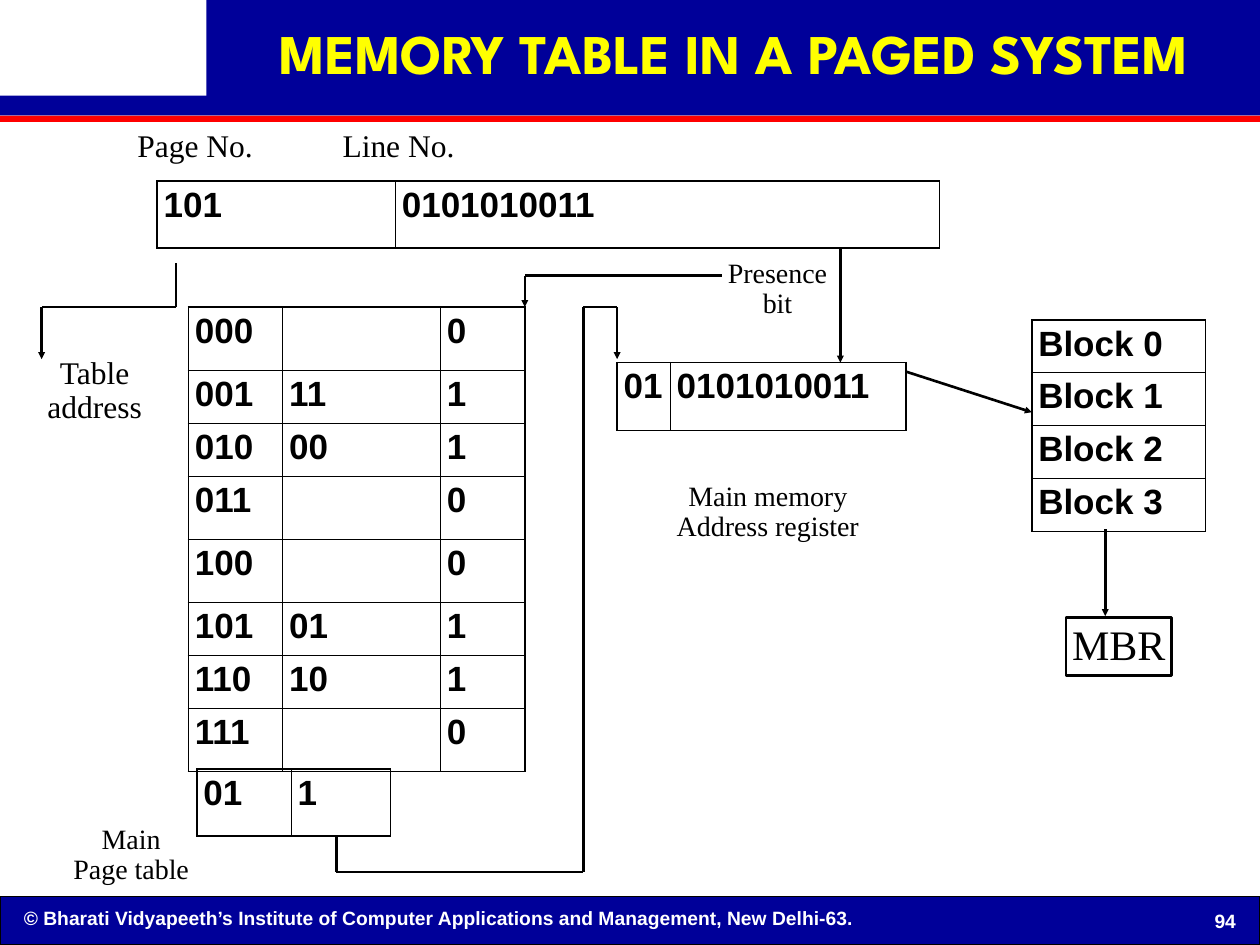
from itertools import pairwise

from lxml.etree import SubElement
from pptx import Presentation
from pptx.dml.color import RGBColor
from pptx.enum.shapes import MSO_CONNECTOR as Connector, MSO_SHAPE as Preset
from pptx.enum.text import MSO_ANCHOR as Anchor, PP_ALIGN as Align
from pptx.oxml.ns import qn
from pptx.util import Cm, Pt

NAVY, RED, YELLOW, WHITE, BLACK = "000099", "FF0000", "FFFF00", "FFFFFF", "000000"
SERIF, SANS, DISPLAY = "Times New Roman", "Arial", "League Spartan"
PAGE_TABLE = [
    ("000", "", "0"),
    ("001", "11", "1"),
    ("010", "00", "1"),
    ("011", "", "0"),
    ("100", "", "0"),
    ("101", "01", "1"),
    ("110", "10", "1"),
    ("111", "", "0"),
]


def paint(target, color):
    """Give a fill, line or font colour object a hex colour."""
    target.rgb = RGBColor.from_string(color)


def write(frame, text, size=16, font=SERIF, color=BLACK, bold=False,
          align=Align.CENTER, spacing=0.9):
    """Write text into a frame, one paragraph for each line."""
    frame.text = text
    for paragraph in frame.paragraphs:
        paragraph.alignment = align
        paragraph.line_spacing = spacing
        for run in paragraph.runs:
            run.font.size = Pt(size)
            run.font.name = font
            run.font.bold = bold
            paint(run.font.color, color)


def set_margins(holder, side=0.13, edge=0.13):
    """Set the inner margins of a text frame or table cell."""
    holder.margin_left = holder.margin_right = Cm(side)
    holder.margin_top = holder.margin_bottom = Cm(edge)


def add_label(slide, box, text, side=0.13, anchor=Anchor.TOP, wrap=False, **style):
    """Place a text box."""
    frame = slide.shapes.add_textbox(*map(Cm, box)).text_frame
    frame.word_wrap = wrap
    frame.vertical_anchor = anchor
    set_margins(frame, side)
    write(frame, text, **style)


def add_box(slide, box, fill=None, outline=None, weight=0.75):
    """Place a rectangle with an optional fill and outline."""
    rectangle = slide.shapes.add_shape(Preset.RECTANGLE, *map(Cm, box))
    rectangle.shadow.inherit = False
    if fill:
        rectangle.fill.solid()
        paint(rectangle.fill.fore_color, fill)
    else:
        rectangle.fill.background()
    if outline:
        paint(rectangle.line.color, outline)
        rectangle.line.width = Pt(weight)
    else:
        rectangle.line.fill.background()
    return rectangle


def add_border(cell, side, weight):
    """Draw one black border of a cell."""
    line = SubElement(cell._tc.get_or_add_tcPr(), qn(f"a:ln{side}"), w=str(Pt(weight)))
    fill = SubElement(line, qn("a:solidFill"))
    SubElement(fill, qn("a:srgbClr"), val=BLACK)


def add_grid(slide, left, top, widths, heights, rows):
    """Place a table with a heavy frame and thin inner rules."""
    table = slide.shapes.add_table(
        len(rows), len(widths), Cm(left), Cm(top), Cm(sum(widths)), Cm(sum(heights))
    ).table
    table.first_row = table.horz_banding = False
    for column, width in zip(table.columns, widths):
        column.width = Cm(width)
    for r, (row, height) in enumerate(zip(rows, heights)):
        table.rows[r].height = Cm(height)
        for c, text in enumerate(row):
            cell = table.cell(r, c)
            set_margins(cell)
            outer = {"L": c == 0, "R": c == len(widths) - 1,
                     "T": r == 0, "B": r == len(rows) - 1}
            for side, is_outer in outer.items():
                add_border(cell, side, 1.08 if is_outer else 0.45)
            cell.fill.background()
            if text:
                write(cell.text_frame, text, size=20, font=SANS, bold=True,
                      align=Align.LEFT, spacing=0.95)


def add_route(slide, *points):
    """Join points with straight connectors, ending in an arrowhead."""
    for start, end in pairwise(points):
        connector = slide.shapes.add_connector(
            Connector.STRAIGHT, *map(Cm, start + end))
        paint(connector.line.color, BLACK)
        connector.line.width = Pt(1.5)
        SubElement(connector._element.spPr, qn("a:effectLst"))
    SubElement(connector.line._get_or_add_ln(), qn("a:tailEnd"),
               type="triangle", w="sm", len="sm")


def add_frame(slide):
    """Draw the header and footer bands with their text."""
    add_box(slide, (0, 18.08, 25.4, 0.97), NAVY, BLACK)
    add_box(slide, (0, 2.33, 25.4, 0.13), RED)
    add_box(slide, (4.16, 0, 21.24, 1.96), NAVY)
    add_box(slide, (0, 1.93, 25.4, 0.4), NAVY)
    footer = dict(side=0.25, size=11, font=SANS, color=WHITE, bold=True, spacing=1.0)
    add_label(slide, (0.23, 18.14, 23.32, 0.74),
              "© Bharati Vidyapeeth’s Institute of Computer Applications "
              "and Management, New Delhi-63.", wrap=True, align=Align.LEFT, **footer)
    add_label(slide, (24.04, 18.26, 1.32, 0.61), "94", anchor=Anchor.MIDDLE, **footer)
    add_label(slide, (4.27, 0, 21.08, 2.29), "MEMORY TABLE IN A PAGED SYSTEM",
              anchor=Anchor.MIDDLE, wrap=True, size=32, font=DISPLAY,
              color=YELLOW, bold=True)


def add_tables(slide):
    """Place the address, page table, register and memory block tables."""
    add_grid(slide, 3.17, 3.65, [4.8, 10.97], [1.35], [("101", "0101010011")])
    heights = [1.07 if block else 1.27 for _, block, _ in PAGE_TABLE]
    add_grid(slide, 3.8, 6.19, [1.9, 3.18, 1.7], heights, PAGE_TABLE)
    add_grid(slide, 3.97, 15.5, [1.9, 2], [1.35], [("01", "1")])
    add_grid(slide, 12.44, 7.31, [1.07, 4.75], [1.37], [("01", "0101010011")])
    add_grid(slide, 20.8, 6.45, [3.5], [1.06] * 4, [(f"Block {n}",) for n in range(4)])


def add_labels(slide):
    """Name the parts of the diagram and place the buffer register."""
    add_label(slide, (2.54, 2.5, 2.79, 0.94), "Page No.", size=18)
    add_label(slide, (6.64, 2.5, 2.79, 0.94), "Line No.", size=18)
    add_label(slide, (0.61, 7.07, 2.6, 1.63), "Table\naddress", size=18)
    add_label(slide, (14.48, 5.1, 2.39, 1.47), "Presence\nbit")
    add_label(slide, (13.38, 9.6, 4.2, 1.47), "Main memory\nAddress register")
    add_label(slide, (1.25, 16.51, 2.79, 1.47), "Main\nPage table")
    buffer = add_box(slide, (21.49, 12.45, 2.13, 1.17), outline=BLACK, weight=1.5)
    buffer.text_frame.word_wrap = False
    buffer.text_frame.vertical_anchor = Anchor.MIDDLE
    set_margins(buffer.text_frame)
    write(buffer.text_frame, "MBR", size=24)


def add_routes(slide):
    """Draw the arrows between the parts."""
    add_route(slide, (3.55, 5.31), (3.55, 6.19), (0.84, 6.19), (0.84, 7.24))
    add_route(slide, (14.55, 5.56), (10.58, 5.56), (10.58, 6.19))
    add_route(slide, (6.78, 16.84), (6.78, 17.58), (11.76, 17.58),
              (11.76, 6.19), (12.44, 6.19), (12.44, 7.24))
    add_route(slide, (16.94, 5), (16.94, 7.31))
    add_route(slide, (18.26, 7.49), (20.8, 8.31))
    add_route(slide, (22.28, 10.67), (22.28, 12.42))


def main():
    """Build the slide and save it."""
    deck = Presentation()
    deck.slide_width, deck.slide_height = Cm(25.4), Cm(19.05)
    slide = deck.slides.add_slide(deck.slide_layouts[6])
    add_frame(slide)
    add_tables(slide)
    add_labels(slide)
    add_routes(slide)
    deck.save("out.pptx")


if __name__ == "__main__":
    main()
